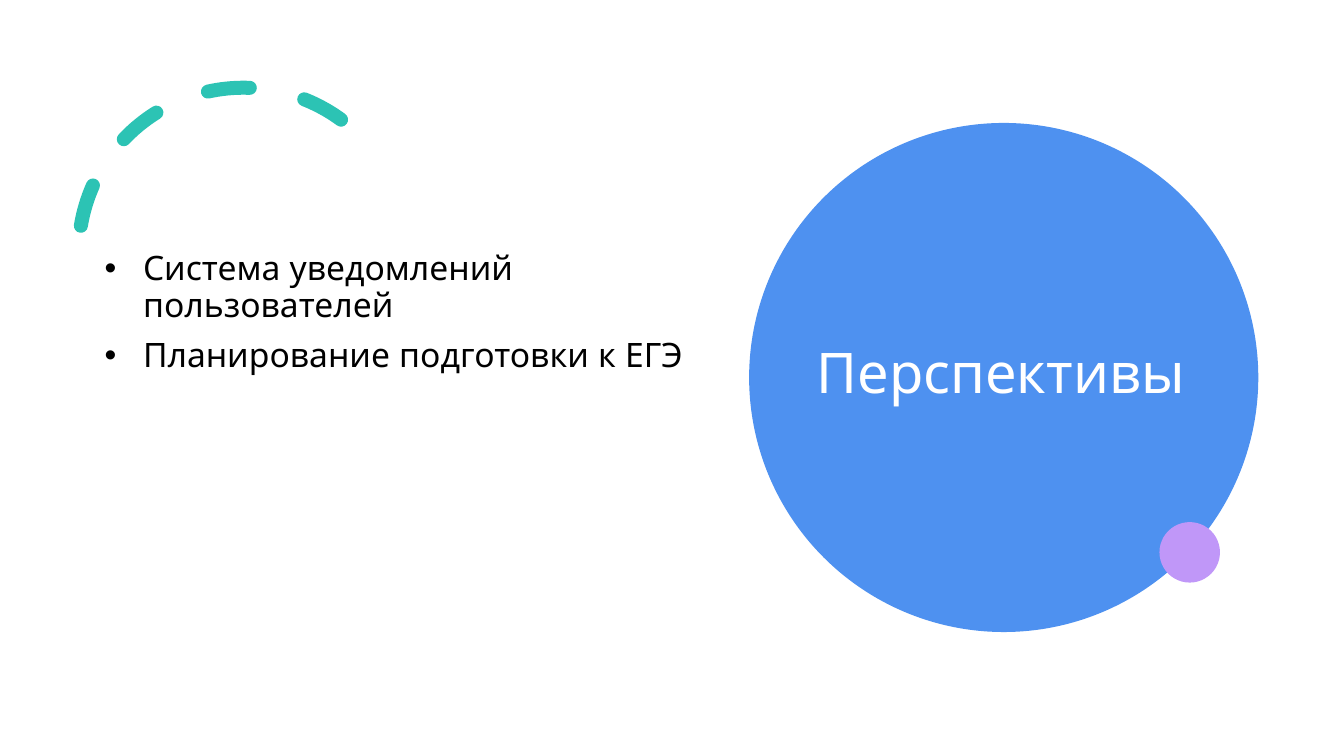
from lxml import etree
from pptx import Presentation
from pptx import util as u
from pptx.dml.color import RGBColor
from pptx.enum import dml, shapes, text
from pptx.oxml.ns import qn

# Content
TITLE = "Перспективы"
PROSPECTS = ["Система уведомлений пользователей", "Планирование подготовки к ЕГЭ"]
FONT = "Quicksand"
WHITE, BLACK, TEAL, BLUE, LILAC = "FFFFFF", "000000", "2CC3B4", "4E91F0", "C097F8"

# Places: left, top, width, height in inches
ARC_BOX = (0.78, 0.87, 3.27, 3.27)
BIG_CIRCLE = (7.43, 1.22, 5.05, 5.05)
SMALL_CIRCLE = (11.5, 5.18, 0.6, 0.6)
TITLE_BOX = (8, 1.52, 3.91, 4.41)
LIST_BOX = (0.94, 2.45, 6.05, 3.8)
BULLET_INDENT = u.Inches(0.38)


def color(value):
    return RGBColor.from_string(value)


def inches(place):
    return [u.Inches(length) for length in place]


def add_circle(page, place, fill):
    circle = page.shapes.add_shape(shapes.MSO_SHAPE.OVAL, *inches(place))
    circle.shadow.inherit = False
    circle.fill.solid()
    circle.fill.fore_color.rgb = color(fill)
    circle.line.fill.background()


def add_dashed_arc(page):
    arc = page.shapes.add_shape(shapes.MSO_SHAPE.ARC, *inches(ARC_BOX))
    arc.shadow.inherit = False
    arc.adjustments[0], arc.adjustments[1] = 158.174, 17.814
    arc.rotation = 29.9
    arc.fill.background()
    arc.line.color.rgb = color(TEAL)
    arc.line.width = u.Pt(10)
    arc.line.dash_style = dml.MSO_LINE.DASH
    # Mirrored, with round dash ends
    properties = arc._element.spPr
    properties.find(qn("a:xfrm")).set("flipH", "1")
    properties.find(qn("a:ln")).set("cap", "rnd")


def add_text(para, words, size, ink):
    para.alignment = text.PP_ALIGN.LEFT
    para.line_spacing = 0.9
    span = para.add_run()
    span.text = words
    span.font.name = FONT
    span.font.size = u.Pt(size)
    span.font.color.rgb = color(ink)


def add_bullet(para):
    properties = para._p.get_or_add_pPr()
    properties.set("marL", str(BULLET_INDENT))
    properties.set("indent", str(-BULLET_INDENT))
    etree.SubElement(properties, qn("a:buFont")).set("typeface", "Arial")
    etree.SubElement(properties, qn("a:buChar")).set("char", "•")


def main():
    deck = Presentation()
    deck.slide_width, deck.slide_height = u.Inches(13.33), u.Inches(7.5)
    page = deck.slides.add_slide(deck.slide_layouts[5])

    # Decoration behind the text
    add_dashed_arc(page)
    add_circle(page, BIG_CIRCLE, BLUE)

    # Title, raised above the big circle
    title = page.shapes.title
    title.left, title.top, title.width, title.height = inches(TITLE_BOX)
    title.text_frame.auto_size = text.MSO_AUTO_SIZE.NONE
    title.text_frame.vertical_anchor = text.MSO_ANCHOR.MIDDLE
    add_text(title.text_frame.paragraphs[0], TITLE, 40, WHITE)
    page.shapes._spTree.append(title._element)

    # Bulleted list
    box = page.shapes.add_textbox(*inches(LIST_BOX))
    frame = box.text_frame
    frame.word_wrap = True
    for index, prospect in enumerate(PROSPECTS):
        para = frame.add_paragraph() if index else frame.paragraphs[0]
        add_text(para, prospect, 24, BLACK)
        para.space_before = u.Pt(10)
        add_bullet(para)

    # Accent on the edge of the big circle
    add_circle(page, SMALL_CIRCLE, LILAC)

    deck.save("out.pptx")


if __name__ == "__main__":
    main()
